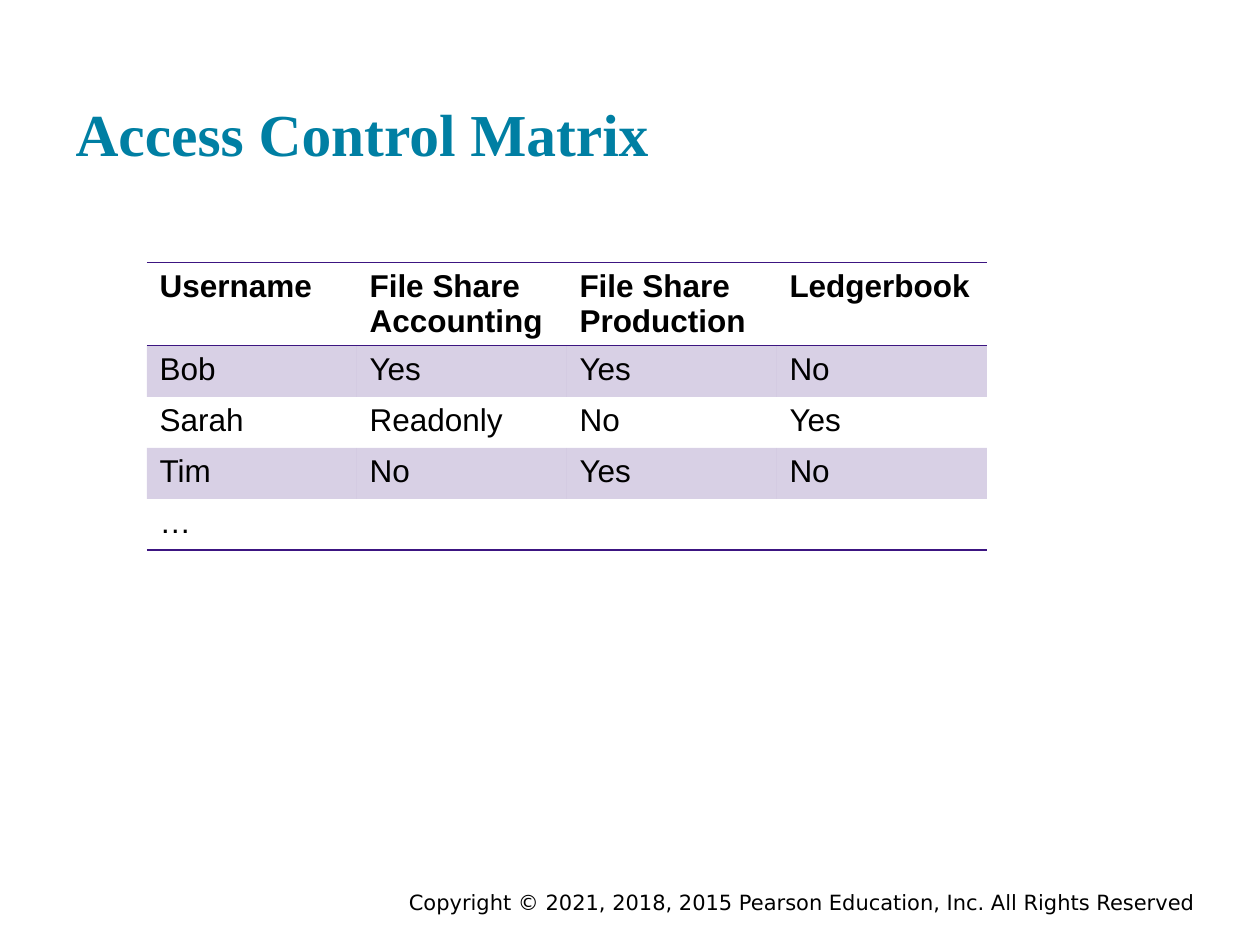
from dataclasses import dataclass

from lxml import etree
from pptx import Presentation
from pptx.dml.color import RGBColor
from pptx.enum import text
from pptx.oxml import ns
from pptx.util import Pt

COLORS = {"title": "007FA3", "ink": "000000", "accent": "3C1581"}
NO_STYLE_NO_GRID = "{2D5ABB26-0587-4C30-8999-92F81FD0307C}"
COLUMN_WIDTH = 120
HEADER_HEIGHT = 47.5
ROW_HEIGHT = 29.2


@dataclass
class Box:
    left: float
    top: float
    width: float
    height: float

    def lengths(self) -> tuple:
        return Pt(self.left), Pt(self.top), Pt(self.width), Pt(self.height)


@dataclass
class Style:
    size: float
    font: str
    color: str
    bold: bool = False


@dataclass
class Row:
    values: tuple
    height: float = ROW_HEIGHT
    bold: bool = False
    shaded: bool = False
    borders: tuple = ()


ROWS = [
    Row(("Username", "File Share\nAccounting", "File Share\nProduction", "Ledgerbook"),
        height=HEADER_HEIGHT, bold=True, borders=("lnT", "lnB")),
    Row(("Bob", "Yes", "Yes", "No"), shaded=True),
    Row(("Sarah", "Readonly", "No", "Yes")),
    Row(("Tim", "No", "Yes", "No"), shaded=True),
    Row(("…", "", "", ""), borders=("lnB",)),
]


def write(frame, words: str, style: Style, align=text.PP_ALIGN.LEFT) -> None:
    frame.text = words
    for para in frame.paragraphs:
        para.alignment = align
        for span in para.runs:
            span.font.size = Pt(style.size)
            span.font.name = style.font
            span.font.bold = style.bold
            span.font.color.rgb = RGBColor.from_string(COLORS[style.color])


def set_margins(frame, margin: float) -> None:
    frame.margin_left = frame.margin_right = Pt(margin)
    frame.margin_top = frame.margin_bottom = Pt(margin)


def shade(cell) -> None:
    cell.fill.solid()
    cell.fill.fore_color.rgb = RGBColor.from_string(COLORS["accent"])
    color = cell._tc.tcPr.find(".//" + ns.qn("a:srgbClr"))
    etree.SubElement(color, ns.qn("a:alpha"), val="20000")


def add_borders(cell, sides: tuple) -> None:
    properties = cell._tc.get_or_add_tcPr()
    for position, side in enumerate(sides):
        line = etree.Element(ns.qn(f"a:{side}"), w=str(Pt(1)))
        fill = etree.SubElement(line, ns.qn("a:solidFill"))
        etree.SubElement(fill, ns.qn("a:srgbClr"), val=COLORS["accent"])
        properties.insert(position, line)


def add_matrix(page, rows: list, left: float, top: float) -> None:
    columns = len(rows[0].values)
    area = Box(left, top, columns * COLUMN_WIDTH, sum(row.height for row in rows))
    table = page.shapes.add_table(len(rows), columns, *area.lengths()).table
    table.horz_banding = False
    table._tbl.tblPr.find(ns.qn("a:tableStyleId")).text = NO_STYLE_NO_GRID
    for row_index, row in enumerate(rows):
        table.rows[row_index].height = Pt(row.height)
        for column, value in enumerate(row.values):
            cell = table.cell(row_index, column)
            write(cell.text_frame, value, Style(18, "Arial", "ink", row.bold))
            if row.shaded:
                shade(cell)
            else:
                cell.fill.background()
            add_borders(cell, row.borders)


def add_title(page, words: str, area: Box) -> None:
    title = page.shapes.title
    title.left, title.top, title.width, title.height = area.lengths()
    frame = title.text_frame
    frame.auto_size = text.MSO_AUTO_SIZE.NONE
    frame.vertical_anchor = text.MSO_ANCHOR.BOTTOM
    set_margins(frame, 7.2)
    write(frame, words, Style(34, "Times New Roman", "title", True))


def add_footer(page, words: str, area: Box) -> None:
    frame = page.shapes.add_textbox(*area.lengths()).text_frame
    frame.word_wrap = True
    set_margins(frame, 0)
    write(frame, words, Style(12, "DejaVu Sans", "ink"), text.PP_ALIGN.RIGHT)


def main() -> None:
    deck = Presentation()
    deck.slide_width, deck.slide_height = Pt(720), Pt(540)
    page = deck.slides.add_slide(deck.slide_layouts[5])

    # Title
    add_title(page, "Access Control Matrix", Box(36, 17.3, 648, 86.4))

    # Access rights per user
    add_matrix(page, ROWS, left=84, top=150)

    # Copyright line
    add_footer(page, "Copyright © 2021, 2018, 2015 Pearson Education, Inc. All Rights Reserved",
               Box(216, 508.3, 467, 15.8))

    deck.save("out.pptx")


if __name__ == "__main__":
    main()
